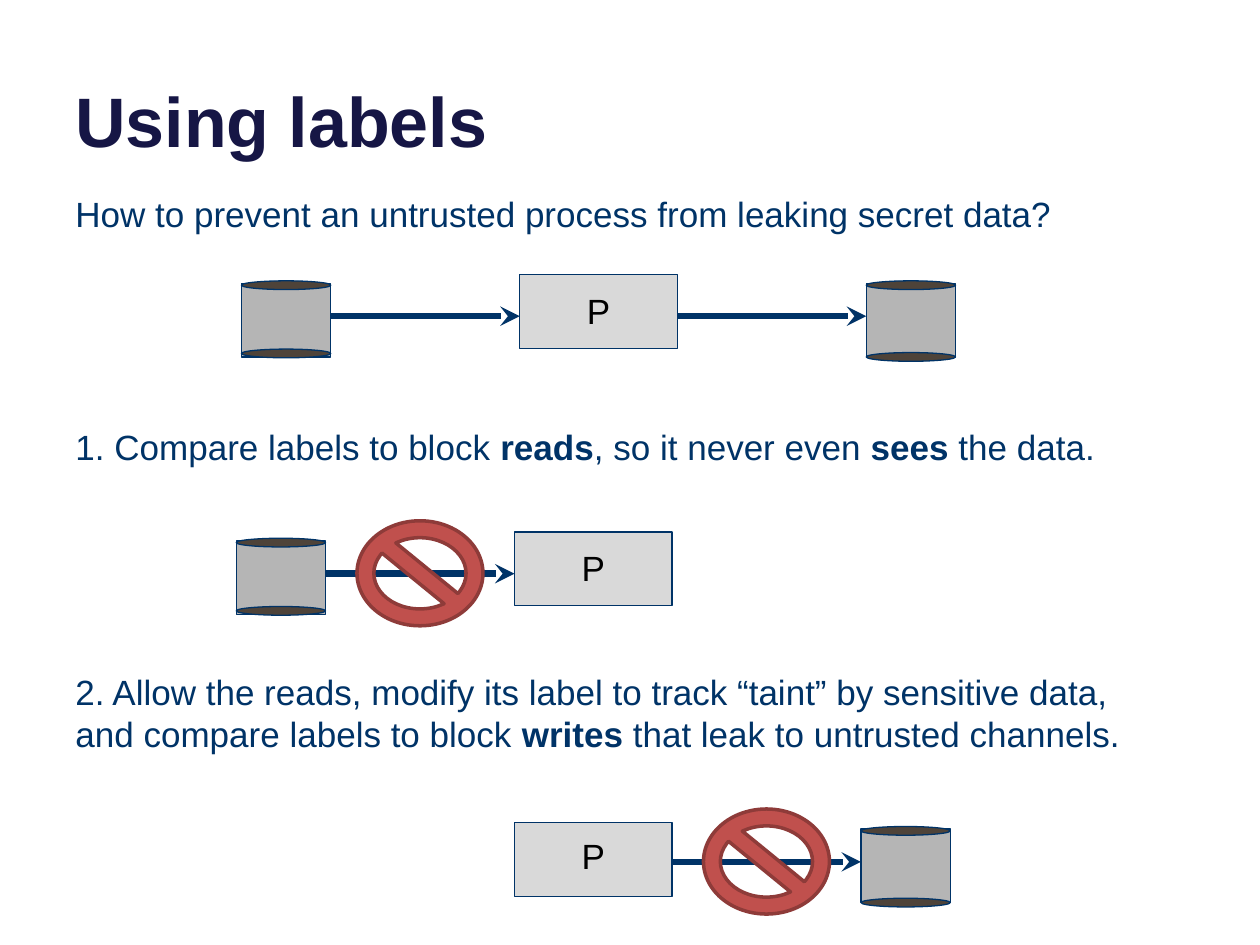
import pptx
import pptx.util
import pptx.dml.color
import pptx.enum.shapes
import pptx.enum.text
import pptx.oxml
import pptx.oxml.ns

Pt = pptx.util.Pt
SHAPE = pptx.enum.shapes.MSO_SHAPE
ANCHOR = pptx.enum.text.MSO_ANCHOR
NAVY = "003367"
PROCESS_WIDTH, BOX_HEIGHT = 90, 42
STORE_WIDTH, CAP_HEIGHT = 51, 5
ARROW_LENGTH = 108


def color(value):
    """Turn a hex string into a colour."""
    return pptx.dml.color.RGBColor.from_string(value)


def set_font(font, size, value, bold=False):
    """Set the typeface, size, colour and weight of a font."""
    font.name = "Arial"
    font.size = Pt(size)
    font.bold = bold
    font.color.rgb = color(value)


def add_text(page, left, top, width, height, spans, size=20, value=NAVY, bold=False, anchor=ANCHOR.TOP):
    """Add a wrapped text box whose odd-numbered spans are bold."""
    box = page.shapes.add_textbox(Pt(left), Pt(top), Pt(width), Pt(height))
    box.text_frame.word_wrap = True
    box.text_frame.vertical_anchor = anchor
    para = box.text_frame.paragraphs[0]
    set_font(para.font, size, value, bold)
    for index, words in enumerate(spans):
        span = para.add_run()
        span.text = words
        if index % 2:
            span.font.bold = True


def add_figure(page, kind, left, top, width, height, fill, line=NAVY, weight=0.75):
    """Add a filled and outlined preset shape."""
    figure = page.shapes.add_shape(kind, Pt(left), Pt(top), Pt(width), Pt(height))
    figure.shadow.inherit = False
    figure.fill.solid()
    figure.fill.fore_color.rgb = color(fill)
    figure.line.color.rgb = color(line)
    figure.line.width = Pt(weight)
    return figure


def add_process(page, left, top, lift):
    """Add a process box, its letter raised above the middle by the lift."""
    process = add_figure(page, SHAPE.RECTANGLE, left, top, PROCESS_WIDTH, BOX_HEIGHT, "D9D9D9")
    frame = process.text_frame
    frame.vertical_anchor = ANCHOR.MIDDLE
    frame.margin_bottom = Pt(3.6 + 2 * lift)
    para = frame.paragraphs[0]
    para.text = "P"
    para.alignment = pptx.enum.text.PP_ALIGN.CENTER
    set_font(para.font, 20, "000000")


def add_store(page, left, axis, depth):
    """Add a data store: a body with a cap at the top and one at the given depth."""
    top = axis - 20.2
    add_figure(page, SHAPE.RECTANGLE, left, top + 1.5, STORE_WIDTH, BOX_HEIGHT, "B5B5B5")
    for cap_top in (top, top + depth):
        add_figure(page, SHAPE.OVAL, left, cap_top, STORE_WIDTH, CAP_HEIGHT, "4E4339")


def add_arrow(page, left, axis):
    """Add a rightward arrow along the axis."""
    arrow = page.shapes.add_connector(
        pptx.enum.shapes.MSO_CONNECTOR.STRAIGHT, Pt(left), Pt(axis), Pt(left + ARROW_LENGTH), Pt(axis))
    arrow.line.color.rgb = color(NAVY)
    arrow.line.width = Pt(3.75)
    head = pptx.oxml.parse_xml(f'<a:tailEnd {pptx.oxml.ns.nsdecls("a")} type="stealth"/>')
    arrow.line._get_or_add_ln().append(head)
    arrow._element.spPr.append(pptx.oxml.parse_xml(f'<a:effectLst {pptx.oxml.ns.nsdecls("a")}/>'))


def add_block(page, left, axis):
    """Add a prohibition sign over an arrow."""
    sign = add_figure(page, SHAPE.NO_SYMBOL, left, axis - 30.2, 72, 60, "C0504D", "8E3B39", 2)
    sign.adjustments[0] = 0.161


def add_flow(page, left, top, axis, reads, writes, blocked, lift=0.8):
    """Add a process with its read and write sides, blocked where asked."""
    add_process(page, left, top, lift)
    if reads:
        add_arrow(page, left - ARROW_LENGTH, axis)
        add_store(page, left - ARROW_LENGTH - STORE_WIDTH, axis, 39)
        if blocked:
            add_block(page, left - 90, axis)
    if writes:
        right = left + PROCESS_WIDTH
        add_arrow(page, right, axis)
        add_store(page, right + ARROW_LENGTH, axis, 41)
        if blocked:
            add_block(page, right + 18, axis)


def main():
    """Build the slide and save it."""
    deck = pptx.Presentation()
    deck.slide_width, deck.slide_height = Pt(720), Pt(540)
    page = deck.slides.add_slide(deck.slide_layouts[6])
    add_text(page, 36, -26.6, 648, 122.4, ["Using labels"], 40, "161645", True, ANCHOR.BOTTOM)
    add_text(page, 36, 106.6, 624, 31.7,
             ["How to prevent an untrusted process from leaking secret data?"])
    add_text(page, 36, 239.8, 624, 31.7,
             ["1. Compare labels to block ", "reads", ", so it never even ", "sees", " the data."])
    add_text(page, 36, 379.4, 624, 55.4,
             ["2. Allow the reads, modify its label to track “taint” by sensitive data, "
              "and compare labels to block ", "writes", " that leak to untrusted channels."])
    add_flow(page, 297, 157, 180.7, reads=True, writes=True, blocked=False)
    add_flow(page, 294, 304, 327.8, reads=True, writes=False, blocked=True)
    add_flow(page, 294, 470.2, 492.5, reads=False, writes=True, blocked=True, lift=2.2)
    deck.save("out.pptx")


if __name__ == "__main__":
    main()
